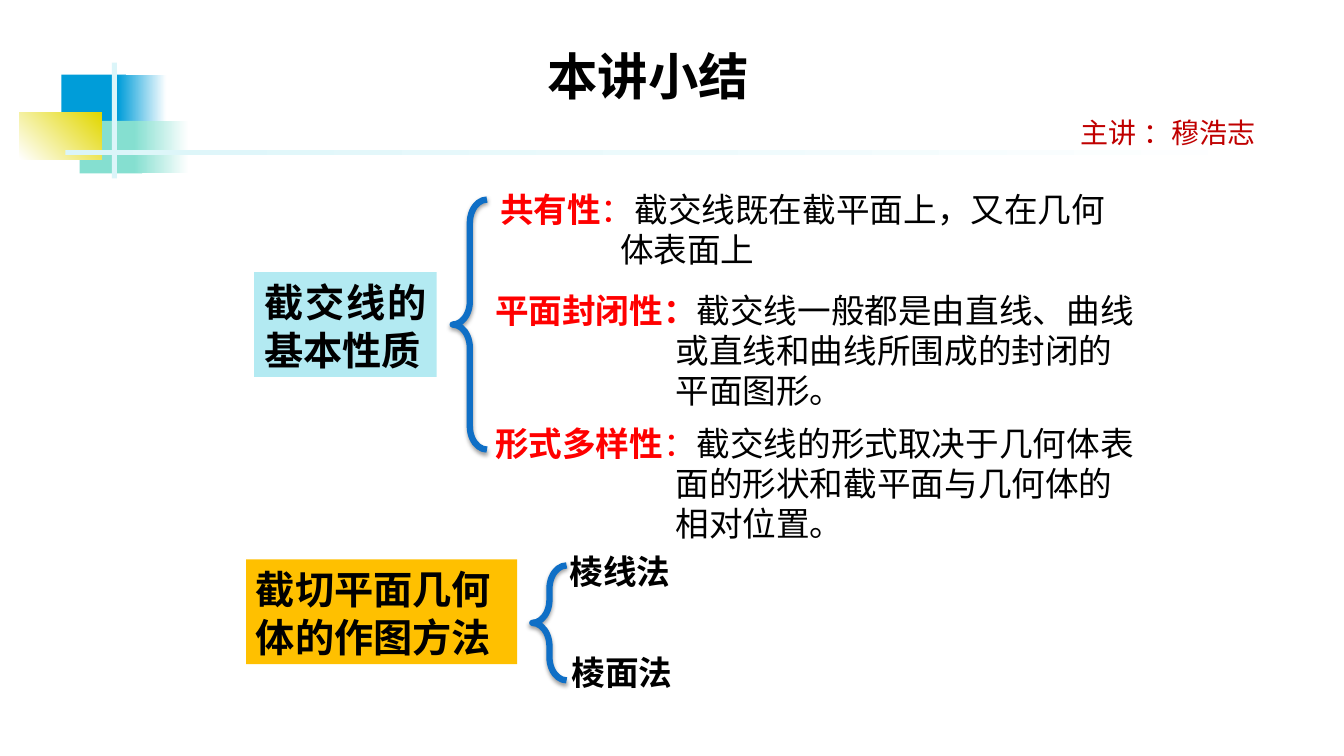
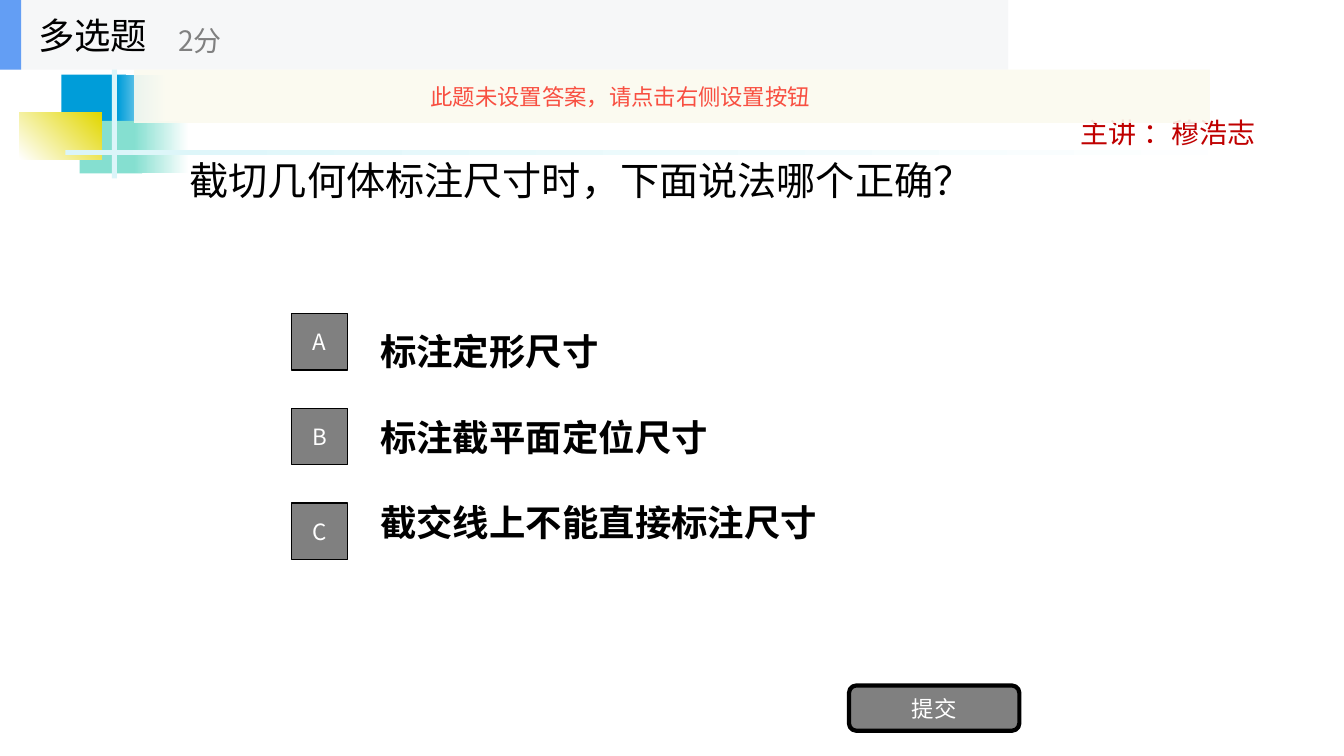
import dataclasses
import lxml.etree
import pptx
import pptx.dml.color
import pptx.enum.shapes
import pptx.enum.text
import pptx.oxml.ns
import pptx.util

SHAPE = pptx.enum.shapes.MSO_SHAPE
ALIGN = pptx.enum.text.PP_ALIGN
ANCHOR = pptx.enum.text.MSO_ANCHOR
Pt = pptx.util.Pt
qn = pptx.oxml.ns.qn


@dataclasses.dataclass(frozen=True)
class Theme:
    """Hold the colours, type sizes and fonts of the slides."""
    black: str = "000000"
    white: str = "FFFFFF"
    red: str = "FF0000"
    wine: str = "C00000"
    coral: str = "F84F41"
    gray: str = "808080"
    mist: str = "F6F7F8"
    cream: str = "FBFAEF"
    sky: str = "639EF4"
    blue: str = "009DD9"
    deep: str = "0F6FC6"
    mint: str = "85DFD0"
    lemon: str = "E2D700"
    ice: str = "DBF5F9"
    aqua: str = "B3EAF2"
    gold: str = "FFC000"
    title: int = 36
    head: int = 28
    item: int = 26
    body: int = 24
    note: int = 20
    small: int = 16
    cjk: str = "Noto Sans CJK SC"
    serif: str = "Times New Roman"
    sans: str = "Arial"


T = Theme()


def px(n):
    """Turn px into EMU, at 100 px to the inch."""
    return pptx.util.Emu(n * 9144)


def rgb(code):
    """Turn a hex code into a colour."""
    return pptx.dml.color.RGBColor.from_string(code)


def put(shape, box):
    """Move a shape to a box."""
    shape.left, shape.top, shape.width, shape.height = map(px, box)


def form(slide, box, fill=None, line=None, width=1, kind=SHAPE.RECTANGLE):
    """Add a flat preset shape."""
    shape = slide.shapes.add_shape(kind, *map(px, box))
    shape.shadow.inherit = False
    if fill:
        shape.fill.solid()
        shape.fill.fore_color.rgb = rgb(fill)
    else:
        shape.fill.background()
    if line:
        shape.line.color.rgb = rgb(line)
        shape.line.width = Pt(width)
    else:
        shape.line.fill.background()
    return shape


def fade(slide, box, start, end, angle=0):
    """Add a rectangle with a linear gradient."""
    shape = form(slide, box, start)
    shape.fill.gradient()
    shape.fill.gradient_angle = angle
    for stop, code in zip(shape.fill.gradient_stops, (start, end)):
        stop.color.rgb = rgb(code)
    return shape


def say(par, text, size, color=T.black, bold=False, face=T.cjk):
    """Add one run to a paragraph."""
    run = par.add_run()
    run.text = text
    font = run.font
    font.size, font.bold, font.name = Pt(size), bold, face
    font.color.rgb = rgb(color)
    east = lxml.etree.SubElement(font._element, qn("a:ea"))
    east.set("typeface", T.cjk)


def first(shape, anchor=ANCHOR.TOP, align=ALIGN.LEFT):
    """Set up a text frame and return its first paragraph."""
    frame = shape.text_frame
    frame.word_wrap = True
    frame.auto_size = pptx.enum.text.MSO_AUTO_SIZE.NONE
    frame.vertical_anchor = anchor
    par = frame.paragraphs[0]
    par.alignment = align
    par.space_before = Pt(0)
    return par


def label(slide, box, text, size, color=T.black, anchor=ANCHOR.TOP, **style):
    """Add a text box with one run."""
    par = first(slide.shapes.add_textbox(*map(px, box)), anchor)
    say(par, text, size, color, **style)
    return par


def head(slide, box, text, size, anchor, bold=False):
    """Place and fill the title."""
    put(slide.shapes.title, box)
    say(first(slide.shapes.title, anchor), text, size, bold=bold)


def items(slide, box, anchor, rows):
    """Place the body and yield a plain paragraph for each (gap, left, hang)."""
    body = slide.placeholders[1]
    put(body, box)
    par = first(body, anchor)
    for i, (gap, left, hang) in enumerate(rows):
        if i:
            par = body.text_frame.add_paragraph()
        par.alignment = ALIGN.LEFT
        par.space_before = Pt(gap)
        props = par._p.get_or_add_pPr()
        props.set("marL", str(px(left + hang)))
        props.set("indent", str(px(-hang)))
        lxml.etree.SubElement(props, qn("a:buNone"))
        yield par


def crest(slide, x, y):
    """Draw the corner blocks, rules and speaker line."""
    form(slide, (x + 42, y + 12, 64, 52), T.blue)
    fade(slide, (x + 98, y + 12, 48, 52), T.blue, T.white)
    form(slide, (x + 60, y + 58, 62, 52), T.mint)
    fade(slide, (x + 114, y + 58, 54, 52), T.mint, T.white)
    fade(slide, (x, y + 50, 82, 46), T.white, T.lemon, 45)
    form(slide, (x + 92, y, 5, 115), T.ice)
    fade(slide, (x + 46, y + 87, 1200, 5), T.ice, T.white)
    label(slide, (x + 1043, y + 48, 271, 44), "主讲 ：穆浩志", T.note, T.wine)


def share(slide):
    """Move the crest from a slide to its layout."""
    old = list(slide.shapes)
    crest(slide, 19, 62)
    layout = slide.slide_layout
    for spot in list(layout.placeholders):
        if spot.placeholder_format.idx >= 10:
            spot._element.getparent().remove(spot._element)
    for shape in list(slide.shapes)[len(old):]:
        layout.shapes._spTree.append(shape._element)


def brace(slide, box):
    """Draw a left brace with a soft shadow."""
    shape = form(slide, box, None, T.deep, 4.5, SHAPE.LEFT_BRACE)
    shape.adjustments[0] = 0.68
    glow = lxml.etree.SubElement(
        shape._element.spPr.find(qn("a:effectLst")), qn("a:outerShdw"),
        blurRad=str(Pt(3.1)), dist=str(Pt(1.6)), dir="5400000", rotWithShape="0")
    tint = lxml.etree.SubElement(glow, qn("a:srgbClr"), val=T.black)
    lxml.etree.SubElement(tint, qn("a:alpha"), val="38000")


def topic(slide, box, text, fill, align, face):
    """Draw a filled box with a bold topic."""
    par = first(form(slide, box, fill), align=align)
    par.line_spacing = Pt(34.3)
    say(par, text, T.head, bold=True, face=face)


def traits(slide, box):
    """List the traits with hanging lines."""
    rows = (
        (0, 5, 119, "共有性", False,
         ("截交线既在截平面上，又在几何", "体表面上")),
        (15, 0, 179, "平面封闭性", True,
         ("截交线一般都是由直线、曲线", "或直线和曲线所围成的封闭的", "平面图形。")),
        (9, 0, 179, "形式多样性", False,
         ("截交线的形式取决于几何体表", "面的形状和截平面与几何体的", "相对位置。")),
    )
    pars = items(slide, box, ANCHOR.TOP, [row[:3] for row in rows])
    for par, (_, _, _, name, heavy, lines) in zip(pars, rows):
        par.line_spacing = Pt(28.6)
        say(par, name, T.body, T.red, True, T.serif)
        say(par, "：", T.body, T.red, heavy, T.serif)
        for i, line in enumerate(lines):
            if i:
                par.add_line_break()
            say(par, line, T.body, face=T.serif)


def methods(slide, x, y):
    """Draw the second topic, its brace and its two methods."""
    topic(slide, (x, y, 269, 104), "截切平面几何体的作图方法",
          T.gold, ALIGN.LEFT, T.sans)
    brace(slide, (x + 284, y + 6, 34, 114))
    for dx, dy, text in ((311, -13, "棱线法"), (313, 87, "棱面法")):
        par = label(slide, (x + dx, y + dy, 122, 50), text, T.body,
                    bold=True, face=T.sans)
        par.line_spacing = Pt(28.6)


def recap(slide):
    """Build the summary slide."""
    head(slide, (533, 40, 250, 85), "本讲小结", T.title, ANCHOR.TOP, True)
    topic(slide, (252, 270, 181, 104), "截交线的基本性质",
          T.aqua, ALIGN.JUSTIFY, T.serif)
    traits(slide, (481, 183, 681, 363))
    brace(slide, (449, 198, 34, 248))
    methods(slide, 244, 555)


def choices(slide, x, y, texts):
    """Draw the lettered tiles and the list of answers."""
    side, step = 56, 94
    high = step * (len(texts) - 1) + side
    rows = [(30 if i else 0, 0, 0) for i in range(len(texts))]
    pars = items(slide, (x + 78, y - 7, 700, high + 14), ANCHOR.MIDDLE, rows)
    for i, (par, text) in enumerate(zip(pars, texts)):
        say(par, text, T.item, bold=True)
        button(slide, (x, y + i * step, side, side), "ABC"[i])


def button(slide, box, text, width=1, kind=SHAPE.RECTANGLE):
    """Draw a grey button."""
    shape = form(slide, box, T.gray, T.black, width, kind)
    say(first(shape, ANCHOR.MIDDLE, ALIGN.CENTER), text, T.small, T.white)


def banner(slide, x, y):
    """Draw the question type, points and notice."""
    form(slide, (x, y, 1000, 69), T.mist)
    form(slide, (x, y, 21, 69), T.sky)
    label(slide, (x + 28, y, 208, 69), "多选题", T.item, anchor=ANCHOR.MIDDLE)
    label(slide, (x + 167, y + 12, 250, 56), "2分", T.note, T.gray, ANCHOR.MIDDLE)
    bar = form(slide, (x + 133, y + 69, 1067, 53), T.cream)
    tint = bar._element.spPr.find(qn("a:solidFill"))[0]
    lxml.etree.SubElement(tint, qn("a:alpha"), val="90000")
    par = first(bar, ANCHOR.MIDDLE)
    bar.text_frame.margin_left = px(294)
    say(par, "此题未设置答案，请点击右侧设置按钮", T.small, T.coral)


def quiz(slide):
    """Build the question slide."""
    head(slide, (178, 95, 800, 166), "截切几何体标注尺寸时，下面说法哪个正确？",
         T.head, ANCHOR.MIDDLE)
    choices(slide, 289, 311,
            ("标注定形尺寸", "标注截平面定位尺寸", "截交线上不能直接标注尺寸"))
    button(slide, (842, 680, 169, 45), "提交", 3, SHAPE.ROUNDED_RECTANGLE)
    banner(slide, 0, 0)


def main():
    """Build and save the slides."""
    deck = pptx.Presentation()
    deck.slide_width, deck.slide_height = px(1333), px(750)
    layout = deck.slide_layouts[1]
    for i, build in enumerate((recap, quiz)):
        slide = deck.slides.add_slide(layout)
        if not i:
            share(slide)
        build(slide)
    deck.save("out.pptx")


if __name__ == "__main__":
    main()
